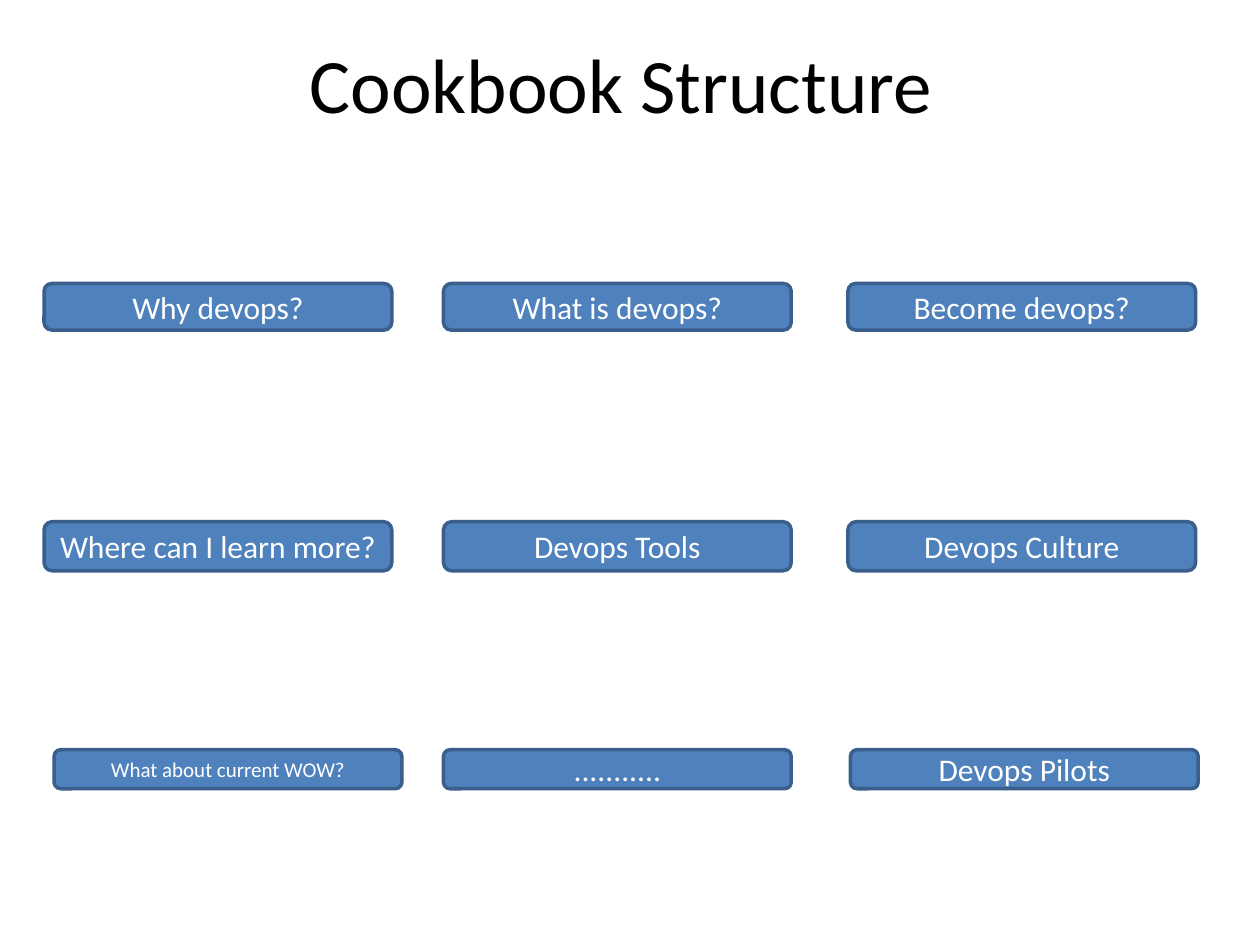
from pptx import Presentation
from pptx.dml.color import RGBColor
from pptx.enum.shapes import MSO_SHAPE
from pptx.enum.text import MSO_ANCHOR, PP_ALIGN
from pptx.util import Pt

PX = 9144  # EMU per px, 100 px to the inch
FONT = "Calibri"
BLUE = RGBColor(0x4F, 0x81, 0xBD)
DARK_BLUE = RGBColor(0x3A, 0x5F, 0x8C)
WHITE = RGBColor(0xFF, 0xFF, 0xFF)
BLACK = RGBColor(0x00, 0x00, 0x00)

BUTTON_WIDTH = 276
# Each row: top, height, then (left, label, text size) for each button
ROWS = [
    (225, 37, [(35, "Why devops?", 18), (352, "What is devops?", 18),
               (673, "Become devops?", 18)]),
    (414, 39, [(35, "Where can I learn more?", 18), (352, "Devops Tools", 18),
               (673, "Devops Culture", 18)]),
    (595, 31, [(43, "What about current WOW?", 12), (352, "...........", 18),
               (675, "Devops Pilots", 18)]),
]


class PageBuilder:
    """Holds the style and the current slide."""

    def __init__(self, page):
        self.page = page

    def set_text(self, shape, text, size, color):
        frame = shape.text_frame
        frame.text = text
        frame.word_wrap = True
        frame.vertical_anchor = MSO_ANCHOR.MIDDLE
        paragraph = frame.paragraphs[0]
        paragraph.alignment = PP_ALIGN.CENTER
        for span in paragraph.runs:
            span.font.name = FONT
            span.font.size = Pt(size)
            span.font.color.rgb = color

    def title(self, left, top, width, height, text):
        box = self.page.shapes.title
        box.left, box.top = left * PX, top * PX
        box.width, box.height = width * PX, height * PX
        self.set_text(box, text, 44, BLACK)

    def button(self, left, top, width, height, text, size):
        box = self.page.shapes.add_shape(
            MSO_SHAPE.ROUNDED_RECTANGLE,
            left * PX, top * PX, width * PX, height * PX)
        box.shadow.inherit = False
        box.fill.solid()
        box.fill.fore_color.rgb = BLUE
        box.line.color.rgb = DARK_BLUE
        box.line.width = Pt(2)
        self.set_text(box, text, size, WHITE)


def main():
    deck = Presentation()
    deck.slide_width, deck.slide_height = 1000 * PX, 750 * PX
    title_only = deck.slide_layouts[5]
    builder = PageBuilder(deck.slides.add_slide(title_only))

    # Title
    builder.title(43, 3, 900, 125, "Cookbook Structure")

    # Chapter buttons
    for top, height, buttons in ROWS:
        for left, label, size in buttons:
            builder.button(left, top, BUTTON_WIDTH, height, label, size)

    deck.save("out.pptx")


if __name__ == "__main__":
    main()
